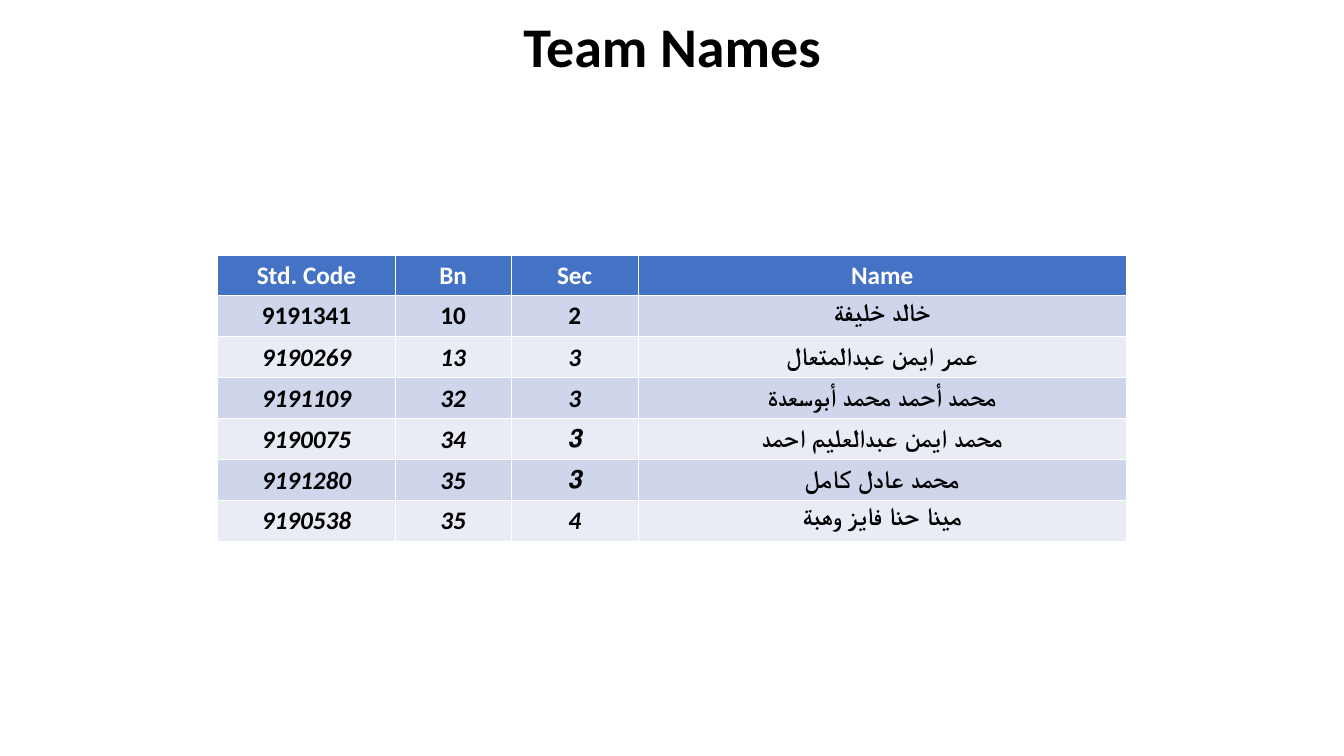
from dataclasses import dataclass

from pptx import Presentation
from pptx.dml.color import RGBColor
from pptx.enum.text import MSO_ANCHOR, PP_ALIGN
from pptx.util import Inches, Pt

CENTER = PP_ALIGN.CENTER
TOP, MIDDLE = MSO_ANCHOR.TOP, MSO_ANCHOR.MIDDLE
TITLE_ONLY = 5

HEADINGS = ("Std. Code", "Bn", "Sec", "Name")
MEMBERS = (
    ("9191341", "10", "2", "خالد خليفة"),
    ("9190269", "13", "3", "عمر ايمن عبدالمتعال"),
    ("9191109", "32", "3", "محمد أحمد محمد أبوسعدة"),
    ("9190075", "34", "3", "محمد ايمن عبدالعليم احمد"),
    ("9191280", "35", "3", "محمد عادل كامل"),
    ("9190538", "35", "4", "مينا حنا فايز وهبة"),
)
COLUMN_WIDTHS = (1.76, 1.15, 1.26, 4.84)
NAME_COLUMN = HEADINGS.index("Name")
RTL_CELLS = {(4, 2), (5, 2)}


@dataclass(frozen=True)
class Theme:
    font: str = "Calibri"
    title_size: int = 40
    table_size: int = 18
    ink: str = "000000"
    header_ink: str = "FFFFFF"
    header_fill: str = "4472C4"
    bands: tuple = ("CFD5EA", "E9EBF5")


def write(frame, text, *, font, size, color, italic=False, spacing=None, rtl=False):
    paragraph = frame.paragraphs[0]
    paragraph.alignment = CENTER
    if spacing:
        paragraph.line_spacing = spacing
    if rtl:
        paragraph._p.get_or_add_pPr().set("rtl", "1")
    run = paragraph.add_run()
    run.text = text
    run.font.name = font
    run.font.size = Pt(size)
    run.font.bold = True
    run.font.italic = italic
    run.font.color.rgb = RGBColor.from_string(color)


class TeamSlide:
    def __init__(self, deck, theme):
        self.theme = theme
        self.slide = deck.slides.add_slide(deck.slide_layouts[TITLE_ONLY])

    def title(self, text, left, top, width, height):
        title = self.slide.shapes.title
        title.left, title.top = Inches(left), Inches(top)
        title.width, title.height = Inches(width), Inches(height)
        title.text_frame.vertical_anchor = MIDDLE
        write(title.text_frame, text, font=self.theme.font,
              size=self.theme.title_size, color=self.theme.ink, spacing=0.9)

    def cell(self, cell, text, fill, *, compact=False, **style):
        cell.fill.solid()
        cell.fill.fore_color.rgb = RGBColor.from_string(fill)
        cell.vertical_anchor = MIDDLE if compact else TOP
        if compact:
            cell.margin_left = cell.margin_right = Inches(0.07)
            cell.margin_top = cell.margin_bottom = 0
        write(cell.text_frame, text, font=self.theme.font,
              size=self.theme.table_size, spacing=1.07 if compact else None, **style)

    def roster(self, left, top, width, height):
        theme = self.theme
        table = self.slide.shapes.add_table(
            len(MEMBERS) + 1, len(HEADINGS),
            Inches(left), Inches(top), Inches(width), Inches(height)).table
        for column, column_width in zip(table.columns, COLUMN_WIDTHS):
            column.width = Inches(column_width)

        # Header row
        for col, heading in enumerate(HEADINGS):
            self.cell(table.cell(0, col), heading, theme.header_fill,
                      color=theme.header_ink)

        # Banded member rows: the first is upright, the inner ones compact
        for row, member in enumerate(MEMBERS, start=1):
            for col, value in enumerate(member):
                self.cell(table.cell(row, col), value, theme.bands[(row - 1) % 2],
                          compact=1 < row < len(MEMBERS), color=theme.ink,
                          italic=row > 1 and col != NAME_COLUMN,
                          rtl=(row, col) in RTL_CELLS)


def main():
    deck = Presentation()
    deck.slide_width, deck.slide_height = Inches(13.33), Inches(7.5)
    team = TeamSlide(deck, Theme())
    team.title("Team Names", 2.16, -0.13, 9.01, 1.24)
    team.roster(2.16, 2.53, 9.01, 2.84)
    deck.save("out.pptx")


if __name__ == "__main__":
    main()
